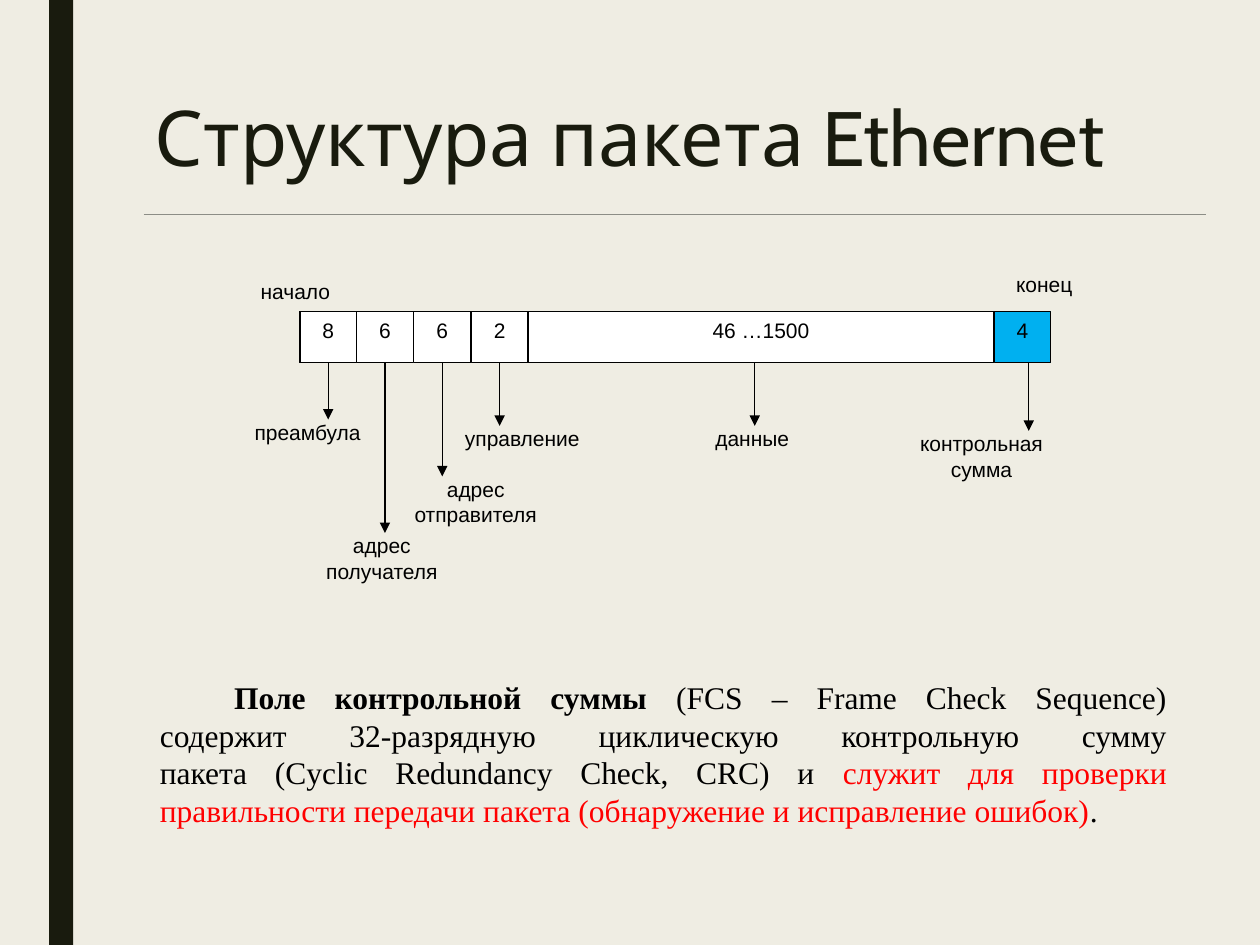
from dataclasses import dataclass

from lxml import etree
from pptx import Presentation
from pptx.dml.color import RGBColor
from pptx.enum.shapes import MSO_CONNECTOR, MSO_SHAPE
from pptx.enum.text import MSO_ANCHOR, PP_ALIGN
from pptx.oxml.ns import qn
from pptx.util import Inches, Pt

RECT = MSO_SHAPE.RECTANGLE
STRAIGHT = MSO_CONNECTOR.STRAIGHT
TOP = MSO_ANCHOR.TOP
LEFT, CENTER, RIGHT, JUSTIFY = PP_ALIGN.LEFT, PP_ALIGN.CENTER, PP_ALIGN.RIGHT, PP_ALIGN.JUSTIFY
BOTTOM_SIDE = 2


@dataclass(frozen=True)
class Theme:
    paper: RGBColor = RGBColor(0xEF, 0xED, 0xE3)
    dark: RGBColor = RGBColor(0x19, 0x1B, 0x0E)
    rule: RGBColor = RGBColor(0x8C, 0x8D, 0x86)
    black: RGBColor = RGBColor(0, 0, 0)
    white: RGBColor = RGBColor(0xFF, 0xFF, 0xFF)
    blue: RGBColor = RGBColor(0x00, 0xB0, 0xF0)
    red: RGBColor = RGBColor(0xFF, 0, 0)
    title_font: str = "Cabin"
    label_font: str = "Arial"
    body_font: str = "Times New Roman"
    title_size: Pt = Pt(44)
    label_size: Pt = Pt(12)
    body_size: Pt = Pt(18)
    line: Pt = Pt(0.75)
    thin: Pt = Pt(0.5)


THEME = Theme()

# Field: width, size in bytes, fill
FIELDS = [
    (0.45, "8", THEME.white),
    (0.45, "6", THEME.white),
    (0.46, "6", THEME.white),
    (0.45, "2", THEME.white),
    (3.7, "46 …1500", THEME.white),
    (0.45, "4", THEME.blue),
]
# Label of each field: text, left, top, width, height, alignment, arrow shift from the field's middle
FIELD_LABELS = [
    ("преамбула", 2.02, 3.33, 1.08, 0.36, LEFT, 0),
    ("адрес\nполучателя", 2.47, 4.23, 1.22, 0.63, CENTER, 0),
    ("адрес\nотправителя", 3.19, 3.78, 1.27, 0.63, CENTER, 0),
    ("управление", 3.69, 3.38, 1.22, 0.36, LEFT, 0),
    ("данные", 5.5, 3.38, 1.04, 0.36, CENTER, -0.05),
    ("контрольная сумма", 7.21, 3.42, 1.26, 0.59, CENTER, 0.05),
]
END_LABELS = [
    ("начало", 1.97, 2.16, 0.9, 0.36, LEFT),
    ("конец", 7.71, 2.11, 0.9, 0.36, RIGHT),
]


def style_font(font, name, size, color):
    font.name, font.size = name, size
    font.color.rgb = color


def style_label(frame, text, align):
    frame.word_wrap = True
    frame.vertical_anchor = TOP
    frame.text = text
    for para in frame.paragraphs:
        para.alignment = align
        style_font(para.font, THEME.label_font, THEME.label_size, THEME.black)


def add_box(page, left, top, width, height, fill, outlined=True):
    box = page.shapes.add_shape(RECT, Inches(left), Inches(top), Inches(width), Inches(height))
    box.shadow.inherit = False
    box.fill.solid()
    box.fill.fore_color.rgb = fill
    if outlined:
        box.line.color.rgb = THEME.black
        box.line.width = THEME.line
    else:
        box.line.fill.background()
    return box


def add_text_box(page, left, top, width, height):
    box = page.shapes.add_textbox(Inches(left), Inches(top), Inches(width), Inches(height))
    box.text_frame.word_wrap = True
    return box.text_frame


def add_line(page, start, end, color, width, arrow=False):
    line = page.shapes.add_connector(STRAIGHT, *(Inches(value) for value in (*start, *end)))
    line.line.color.rgb = color
    line.line.width = width
    if arrow:
        etree.SubElement(line.line._get_or_add_ln(), qn("a:tailEnd"), type="triangle")
    etree.SubElement(line._element.spPr, qn("a:effectLst"))
    return line


def add_title(page, left, top, width, height):
    frame = add_text_box(page, left, top, width, height)
    para = frame.paragraphs[0]
    para.text = "Структура пакета Ethernet"
    para.line_spacing = 0.89
    style_font(para.font, THEME.title_font, THEME.title_size, THEME.dark)
    add_line(page, (1.14, 1.7), (9.57, 1.7), THEME.rule, THEME.thin)


def add_packet(page, left, top, width, height):
    add_box(page, left, top, width, height, THEME.white)
    bottom = top + height
    for field, label in zip(FIELDS, FIELD_LABELS):
        field_width, size, fill = field
        text, label_left, label_top, label_width, label_height, align, shift = label

        # Field with its size
        cell = add_box(page, left, top, field_width, height, fill)
        style_label(cell.text_frame, size, CENTER)

        # Arrow down to the label
        arrow_x = left + field_width / 2 + shift
        arrow = add_line(page, (arrow_x, bottom), (arrow_x, label_top),
                         THEME.black, THEME.line, arrow=True)
        if not shift:
            arrow.begin_connect(cell, BOTTOM_SIDE)

        # Label
        frame = add_text_box(page, label_left, label_top, label_width, label_height)
        frame.margin_left = frame.margin_top = 0
        style_label(frame, text, align)
        left += field_width

    # Start and end of the packet
    for text, *place, align in END_LABELS:
        style_label(add_text_box(page, *place), text, align)


def add_description(page, left, top, width, height):
    para = add_text_box(page, left, top, width, height).paragraphs[0]
    para.alignment = JUSTIFY
    para._p.get_or_add_pPr().set("indent", str(Inches(0.59)))
    spans = [
        ("Поле контрольной суммы ", True, THEME.black),
        ("(FCS – Frame Check Sequence)", False, THEME.black),
        None,
        ("содержит 32-разрядную циклическую контрольную сумму", False, THEME.black),
        None,
        ("пакета (Cyclic Redundancy Check, CRC) и ", False, THEME.black),
        ("служит для проверки правильности передачи пакета "
         "(обнаружение и исправление ошибок)", False, THEME.red),
        (".", False, THEME.black),
    ]
    for part in spans:
        if part is None:
            para.add_line_break()
            continue
        span = para.add_run()
        span.text, span.font.bold, color = part
        style_font(span.font, THEME.body_font, THEME.body_size, color)


def main():
    deck = Presentation()
    deck.slide_width, deck.slide_height = Inches(10), Inches(7.5)
    page = deck.slides.add_slide(deck.slide_layouts[6])
    page.background.fill.solid()
    page.background.fill.fore_color.rgb = THEME.paper

    # Side bar
    add_box(page, 0.39, 0, 0.19, 7.5, THEME.dark, outlined=False)
    add_title(page, 1.13, 0.75, 7.87, 1.63)
    add_packet(page, 2.38, 2.47, 5.96, 0.41)
    add_description(page, 1.17, 5.33, 8.19, 1.3)
    deck.save("out.pptx")


if __name__ == "__main__":
    main()
